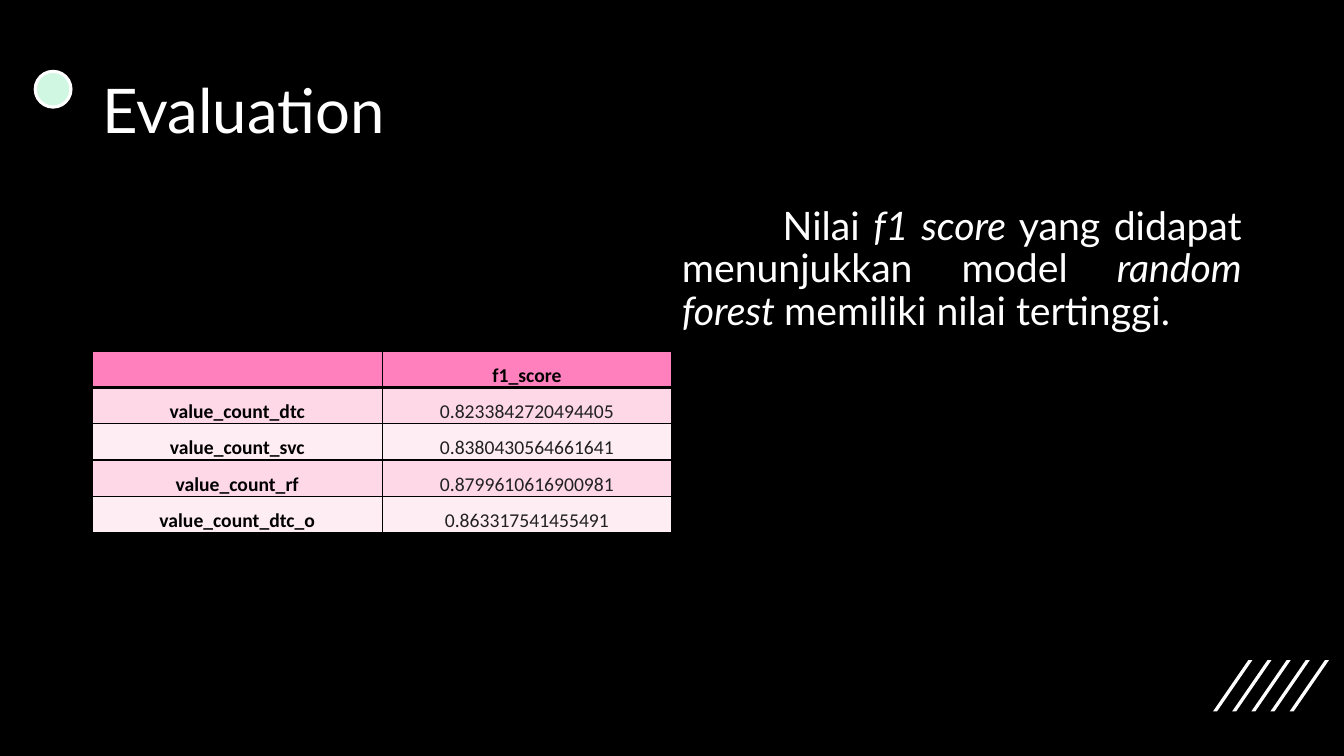
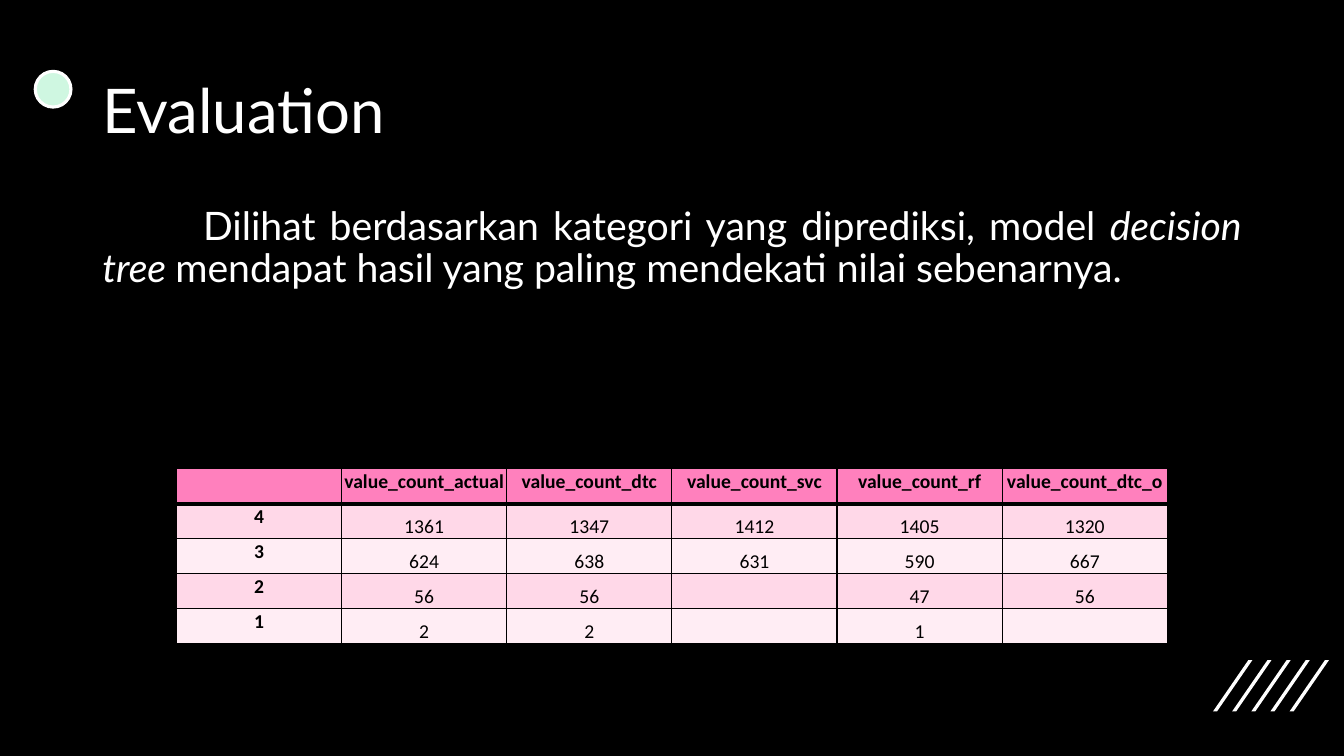
from dataclasses import dataclass

from lxml.etree import SubElement
from pptx import Presentation
from pptx.dml.color import RGBColor as Rgb
from pptx.enum.shapes import MSO_SHAPE as Preset
from pptx.enum.text import MSO_ANCHOR as Anchor, PP_ALIGN as Align
from pptx.oxml.ns import qn
from pptx.slide import Slide
from pptx.text.text import TextFrame
from pptx.util import Emu, Inches, Pt

COLORS = {
    "black": "000000",
    "white": "FFFFFF",
    "mint": "CFF7E1",
    "header": "FF80BD",
    "odd": "FFD8E8",
    "even": "FFEDF4",
    "score": "212121",
}
COLUMNS, ROWS = 160, 90  # square grid cells, twelve to the inch
MARGIN, CONTENT = 11, 138
BODY_TOP = 24
HEADING_FONT, TABLE_FONT = "Lato", "Calibri"
TABLE_SIZE = 14


@dataclass(frozen=True)
class Box:
    """A rectangle in grid columns and rows."""
    left: float
    top: float
    width: float
    height: float

    def place(self) -> tuple[Emu, Emu, Emu, Emu]:
        """Return the rectangle as slide lengths."""
        return (grid(self.left), grid(self.top),
                grid(self.width), grid(self.height))


@dataclass(frozen=True)
class ResultTable:
    """Result rows, the first being the header, and how they look."""
    box: Box
    rows: list[list[str]]
    label_anchor: Anchor
    value_color: str


@dataclass(frozen=True)
class Evaluation:
    """One slide: a finding and the table that supports it."""
    finding: str
    finding_box: Box
    results: ResultTable


def grid(cells: float) -> Emu:
    """Convert grid cells to a slide length."""
    return Emu(round(Inches(1) * cells / 12))


def rgb(name: str) -> Rgb:
    """Look up a colour by name."""
    return Rgb.from_string(COLORS[name])


def write(frame: TextFrame, text: str, *, font: str, size: float, color: str,
          bold: bool = False, align: Align = Align.LEFT,
          anchor: Anchor = Anchor.TOP, spacing: float = 1.0,
          before: float = 0, indent: float = 0) -> None:
    """Write one paragraph; parts between asterisks are italic."""
    frame.word_wrap = True
    frame.vertical_anchor = anchor
    paragraph = frame.paragraphs[0]
    paragraph.alignment = align
    paragraph.line_spacing = spacing
    paragraph.space_before = Pt(before)
    if indent:
        paragraph._p.get_or_add_pPr().set("indent", str(grid(indent)))
    for index, part in enumerate(text.split("*")):
        run = paragraph.add_run()
        run.text = part
        run.font.name, run.font.size = font, Pt(size)
        run.font.bold, run.font.italic = bold, index % 2 == 1
        run.font.color.rgb = rgb(color)


def draw_slashes(slide: Slide) -> None:
    """Draw the five slanted strokes in the lower right corner."""
    first, step, top, height = 144.4, 2.28, 78.6, 6.1
    lean, thickness = 4.2, 0.48
    for index in range(5):
        left, bottom = first + index * step, top + height
        corners = [(left, bottom), (left + lean, top),
                   (left + lean + thickness, top), (left + thickness, bottom)]
        start, *others = [(grid(x), grid(y)) for x, y in corners]
        builder = slide.shapes.build_freeform(*start)
        builder.add_line_segments(others, close=True)
        slash = builder.convert_to_shape()
        slash.shadow.inherit = False
        slash.fill.solid()
        slash.fill.fore_color.rgb = rgb("white")
        slash.line.fill.background()


def draw_frame(slide: Slide, heading: str) -> None:
    """Draw what the slides share: background, slashes, dot and heading."""
    slide.background.fill.solid()
    slide.background.fill.fore_color.rgb = rgb("black")
    draw_slashes(slide)
    dot = slide.shapes.add_shape(Preset.OVAL, *Box(4.2, 8.5, 4.25, 4.25).place())
    dot.shadow.inherit = False
    dot.fill.solid()
    dot.fill.fore_color.rgb = rgb("mint")
    dot.line.color.rgb = rgb("white")
    dot.line.width = Pt(2.25)
    title = slide.shapes.add_textbox(*Box(MARGIN, 4.8, CONTENT, 17.4).place())
    write(title.text_frame, heading, font=HEADING_FONT, size=44, color="white",
          anchor=Anchor.MIDDLE, spacing=0.9)


def draw_borders(cell, top: float, bottom: float) -> None:
    """Rule a cell in black, with its top and bottom widths in points."""
    properties = cell._tc.get_or_add_tcPr()
    for side, width in (("L", 1), ("R", 1), ("T", top), ("B", bottom)):
        line = SubElement(properties, qn(f"a:ln{side}"), w=str(Pt(width)))
        fill = SubElement(line, qn("a:solidFill"))
        SubElement(fill, qn("a:srgbClr"), val=COLORS["black"])


def draw_results(slide: Slide, results: ResultTable) -> None:
    """Draw a table with a header row, a label column and bands."""
    count, width = len(results.rows), len(results.rows[0])
    table = slide.shapes.add_table(count, width, *results.box.place()).table
    table.first_row = table.horz_banding = False
    for column in table.columns:
        column.width = grid(results.box.width / width)
    for row, entries in enumerate(results.rows):
        table.rows[row].height = grid(results.box.height / count)
        band = "header" if row == 0 else "odd" if row % 2 else "even"
        for column, entry in enumerate(entries):
            cell = table.cell(row, column)
            cell.margin_left = cell.margin_right = cell.margin_top = Inches(0.01)
            cell.margin_bottom = 0
            draw_borders(cell, 3 if row == 1 else 1, 3 if row == 0 else 1)
            cell.fill.solid()
            cell.fill.fore_color.rgb = rgb(band)
            label = row == 0 or column == 0
            anchor = results.label_anchor if label else Anchor.BOTTOM
            cell.vertical_anchor = anchor
            if entry:
                write(cell.text_frame, entry, font=TABLE_FONT, size=TABLE_SIZE,
                      color="black" if label else results.value_color,
                      bold=label, align=Align.CENTER, anchor=anchor)
            else:
                SubElement(cell.text_frame.paragraphs[0]._p,
                           qn("a:endParaRPr"), sz=str(TABLE_SIZE * 100))


def draw_evaluation(slide: Slide, evaluation: Evaluation) -> None:
    """Draw one evaluation slide."""
    draw_frame(slide, "Evaluation")
    draw_results(slide, evaluation.results)
    finding = slide.shapes.add_textbox(*evaluation.finding_box.place())
    write(finding.text_frame, evaluation.finding, font=HEADING_FONT, size=28,
          color="white", align=Align.JUSTIFY, spacing=0.9, before=10, indent=12)


EVALUATIONS = [
    Evaluation(
        "Nilai *f1 score *yang didapat menunjukkan model *random forest *"
        "memiliki nilai tertinggi.",
        Box(COLUMNS / 2, BODY_TOP, CONTENT / 2, 57.1),
        ResultTable(
            Box(MARGIN, 41.8, CONTENT / 2, 21.6),
            [["", "f1_score"],
             ["value_count_dtc", "0.8233842720494405"],
             ["value_count_svc", "0.8380430564661641"],
             ["value_count_rf", "0.8799610616900981"],
             ["value_count_dtc_o", "0.863317541455491"]],
            Anchor.BOTTOM, "score")),
    Evaluation(
        "Dilihat berdasarkan kategori yang diprediksi, model *decision tree *"
        "mendapat hasil yang paling mendekati nilai sebenarnya.",
        Box(MARGIN, BODY_TOP, CONTENT, 30.1),
        ResultTable(
            Box(21, 55.8, COLUMNS - 2 * 21, 20.85),
            [["", "value_count_actual", "value_count_dtc", "value_count_svc",
              "value_count_rf", "value_count_dtc_o"],
             ["4", "1361", "1347", "1412", "1405", "1320"],
             ["3", "624", "638", "631", "590", "667"],
             ["2", "56", "56", "", "47", "56"],
             ["1", "2", "2", "", "1", ""]],
            Anchor.TOP, "black")),
]


def main() -> None:
    """Build and save the presentation."""
    deck = Presentation()
    deck.slide_width, deck.slide_height = grid(COLUMNS), grid(ROWS)
    blank = deck.slide_layouts[6]
    for evaluation in EVALUATIONS:
        draw_evaluation(deck.slides.add_slide(blank), evaluation)
    deck.save("out.pptx")


main()
